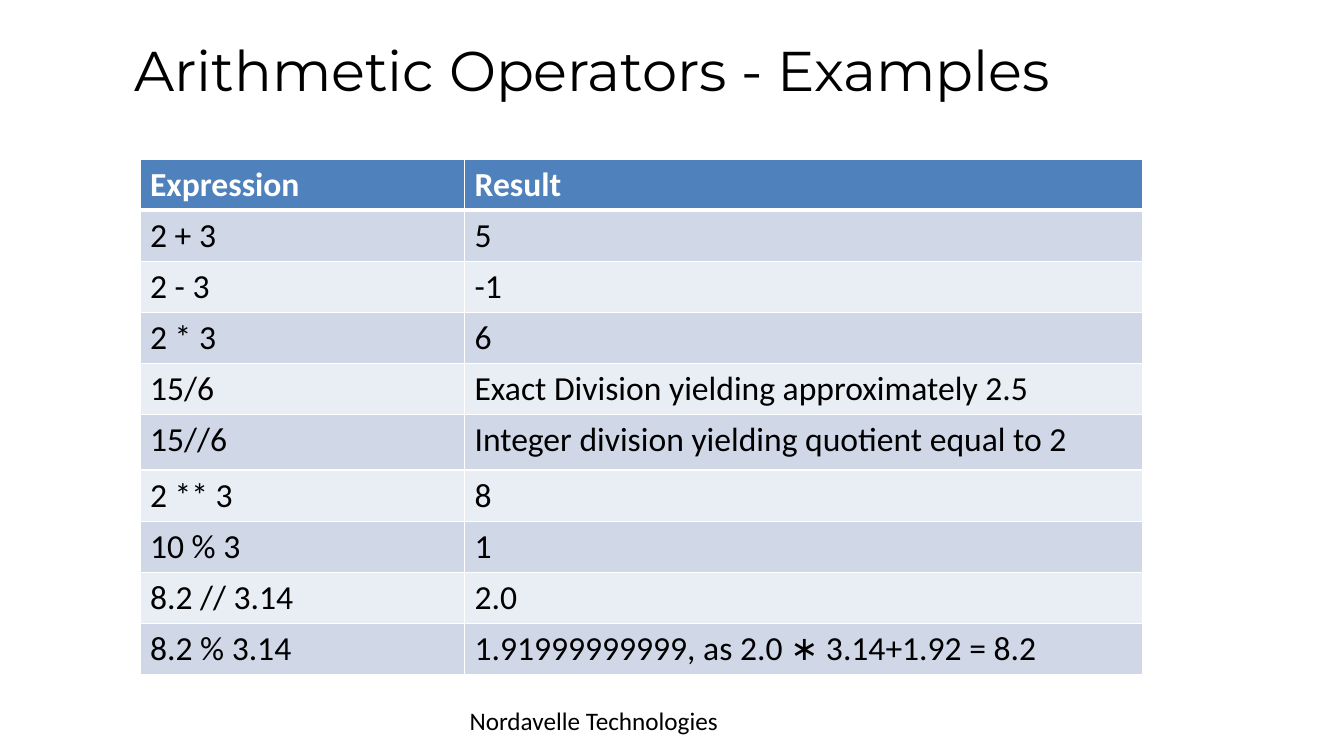
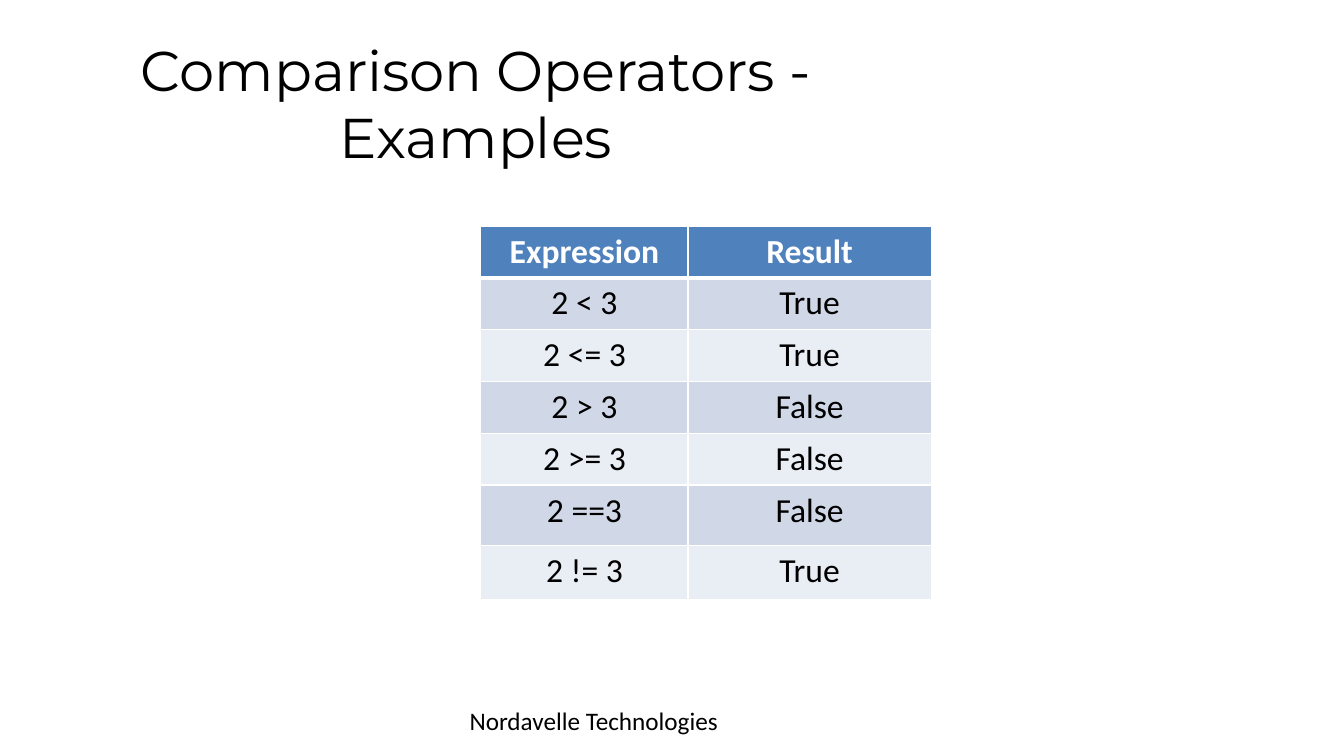
from dataclasses import dataclass

from lxml import etree
from pptx import Presentation
from pptx import util as u
from pptx.dml.color import RGBColor
from pptx.enum import text
from pptx.oxml import ns

Pt = u.Pt


@dataclass(frozen=True)
class Theme:
    title_font: str = "Montserrat"
    body_font: str = "Calibri"
    title_size: int = 40
    table_size: int = 24
    footer_size: int = 18
    ink: str = "000000"
    white: str = "FFFFFF"
    header: str = "4F81BD"
    bands: tuple = ("D0D8E8", "E9EDF4")
    rule: int = 1
    header_rule: int = 3


THEME = Theme()
SLIDE_SIZE = (960, 540)
TITLE_LEFT, TITLE_TOP = 48, 21.6
FOOTER = "Nordavelle Technologies"
FOOTER_BOX = (328.3, 500.4, 303.8, 28.8)
HEADINGS = ("Expression", "Result")

# Content; row heights listed by row number replace the usual one
SLIDES = [
    {
        "title": "Arithmetic Operators - Examples",
        "title_size": (750, 78),
        "table_at": (100, 113.6),
        "columns": (231.8, 484.2),
        "row_height": 35.4,
        "special_rows": {5: 39.6},
        "align": text.PP_ALIGN.LEFT,
        "rows": [
            ("2 + 3", "5"),
            ("2 - 3", "-1"),
            ("2 * 3", "6"),
            ("15/6", "Exact Division yielding approximately 2.5"),
            ("15//6", "Integer division yielding quotient equal to 2"),
            ("2 ** 3", "8"),
            ("10 % 3", "1"),
            ("8.2 // 3.14", "2.0"),
            ("8.2 % 3.14", "1.91999999999, as 2.0 ∗ 3.14+1.92 = 8.2"),
        ],
    },
    {
        "title": "Comparison Operators - Examples",
        "title_size": (584, 32.4),
        "table_at": (343.5, 162),
        "columns": (148, 173.6),
        "row_height": 37,
        "special_rows": {0: 36, 5: 43, 6: 39},
        "align": text.PP_ALIGN.CENTER,
        "rows": [
            ("2 < 3", "True"),
            ("2 <= 3", "True"),
            ("2 > 3", "False"),
            ("2 >= 3", "False"),
            ("2 ==3", "False"),
            ("2 != 3", "True"),
        ],
    },
]


def apply(target, values):
    for name, value in values.items():
        setattr(target, name, value)


def write(frame, words, font, size, color=THEME.ink, bold=False,
          align=text.PP_ALIGN.LEFT):
    frame.word_wrap = True
    paragraph = frame.paragraphs[0]
    paragraph.alignment = align
    run = paragraph.add_run()
    run.text = words
    apply(run.font, {"name": font, "size": Pt(size), "bold": bold})
    run.font.color.rgb = RGBColor.from_string(color)


def set_borders(cell, bottom):
    properties = cell._tc.get_or_add_tcPr()
    widths = {"lnL": THEME.rule, "lnR": THEME.rule,
              "lnT": THEME.rule, "lnB": bottom}
    for index, (side, width) in enumerate(widths.items()):
        line = etree.Element(ns.qn(f"a:{side}"), w=str(Pt(width)))
        fill = etree.SubElement(line, ns.qn("a:solidFill"))
        etree.SubElement(fill, ns.qn("a:srgbClr"), val=THEME.white)
        properties.insert(index, line)


def add_title(slide, content):
    title = slide.shapes.title
    width, height = content["title_size"]
    apply(title, {"left": Pt(TITLE_LEFT), "top": Pt(TITLE_TOP),
                  "width": Pt(width), "height": Pt(height)})
    apply(title.text_frame, {"vertical_anchor": text.MSO_ANCHOR.TOP,
                             "auto_size": text.MSO_AUTO_SIZE.NONE})
    write(title.text_frame, content["title"], THEME.title_font,
          THEME.title_size, align=text.PP_ALIGN.CENTER)


def add_operator_table(slide, content):
    rows = [HEADINGS, *content["rows"]]
    heights = [content["special_rows"].get(i, content["row_height"])
               for i in range(len(rows))]
    columns = content["columns"]
    box = (*content["table_at"], sum(columns), sum(heights))
    table = slide.shapes.add_table(len(rows), len(columns),
                                   *map(Pt, box)).table
    for column, width in zip(table.columns, columns):
        column.width = Pt(width)
    for number, (row, height, words) in enumerate(
            zip(table.rows, heights, rows)):
        row.height = Pt(height)
        heading = number == 0
        fill = THEME.header if heading else THEME.bands[(number - 1) % 2]
        for cell, value in zip(row.cells, words):
            cell.fill.solid()
            cell.fill.fore_color.rgb = RGBColor.from_string(fill)
            set_borders(cell, THEME.header_rule if heading else THEME.rule)
            write(cell.text_frame, value, THEME.body_font, THEME.table_size,
                  THEME.white if heading else THEME.ink, heading,
                  content["align"])


def add_footer(slide):
    footer = slide.shapes.add_textbox(*map(Pt, FOOTER_BOX))
    write(footer.text_frame, FOOTER, THEME.body_font, THEME.footer_size)


def main():
    presentation = Presentation()
    width, height = map(Pt, SLIDE_SIZE)
    apply(presentation, {"slide_width": width, "slide_height": height})
    title_only = presentation.slide_layouts[5]
    for content in SLIDES:
        slide = presentation.slides.add_slide(title_only)
        add_title(slide, content)
        add_operator_table(slide, content)
        add_footer(slide)
    presentation.save("out.pptx")


if __name__ == "__main__":
    main()
